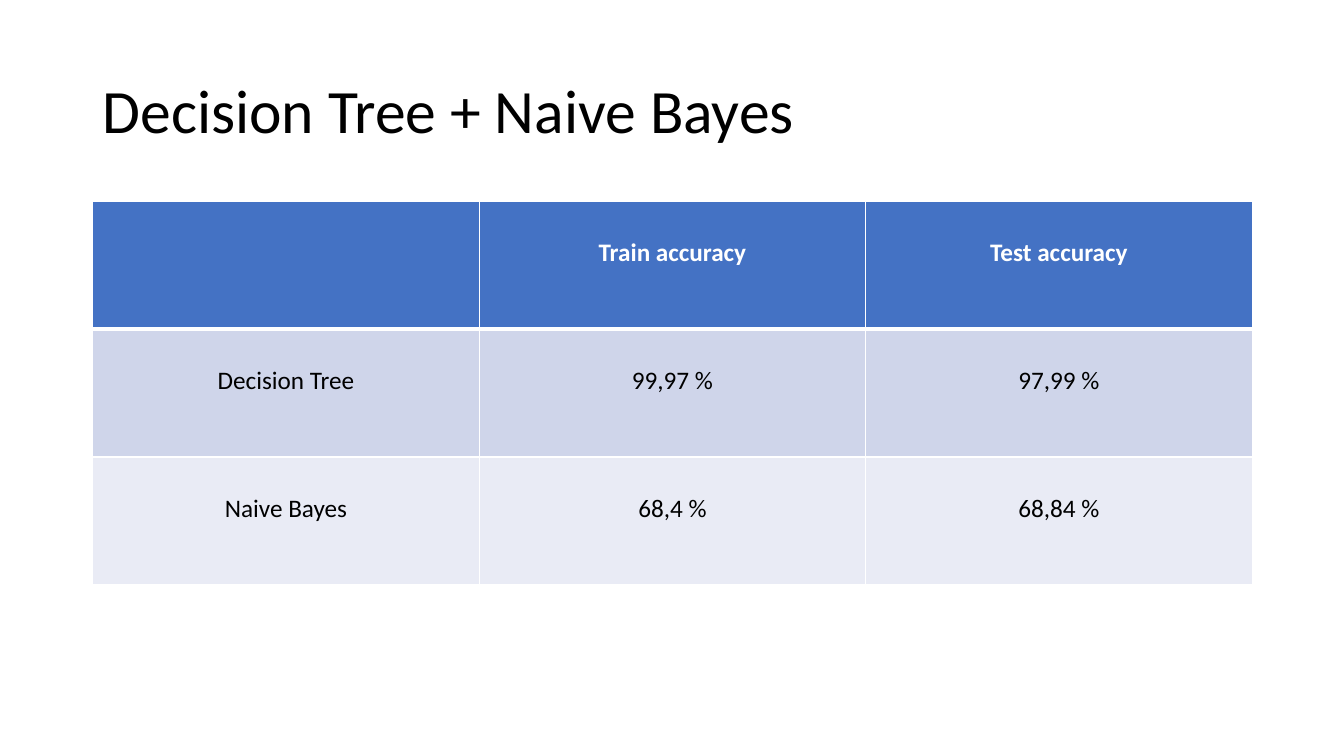
from lxml import etree
from pptx import Presentation
from pptx.dml.color import RGBColor
from pptx.enum.text import MSO_ANCHOR, PP_ALIGN
from pptx.oxml.ns import qn
from pptx.util import Inches, Pt

CENTER = PP_ALIGN.CENTER
MIDDLE = MSO_ANCHOR.MIDDLE
BLACK = RGBColor(0x00, 0x00, 0x00)
WHITE = RGBColor(0xFF, 0xFF, 0xFF)
HEADER_BLUE = RGBColor(0x44, 0x72, 0xC4)
BANDS = (RGBColor(0xCF, 0xD5, 0xEA), RGBColor(0xE9, 0xEB, 0xF5))

ACCURACIES = [
    ("", "Train accuracy", "Test accuracy"),
    ("Decision Tree", "99,97 %", "97,99 %"),
    ("Naive Bayes", "68,4 %", "68,84 %"),
]


class SlideBuilder:
    font_name = "Calibri"
    title_size = Pt(44)
    cell_size = Pt(18)
    cell_top_margin = Inches(0.36)
    thin, thick = Pt(1), Pt(3)

    def __init__(self, slide):
        self.slide = slide

    def style(self, paragraph, size, color, bold=False):
        font = paragraph.font
        font.name, font.size, font.bold = self.font_name, size, bold
        font.color.rgb = color

    def title(self, text, left, top, width, height):
        frame = self.slide.shapes.add_textbox(left, top, width, height).text_frame
        frame.word_wrap = True
        frame.vertical_anchor = MIDDLE
        paragraph = frame.paragraphs[0]
        paragraph.text = text
        paragraph.line_spacing = 0.9
        self.style(paragraph, self.title_size, BLACK)

    def borders(self, cell, top, bottom):
        """Give the cell white edges, with its own top and bottom widths."""
        properties = cell._tc.get_or_add_tcPr()
        widths = {"a:lnL": self.thin, "a:lnR": self.thin, "a:lnT": top, "a:lnB": bottom}
        for position, (tag, width) in enumerate(widths.items()):
            edge = etree.Element(qn(tag), w=str(width))
            fill = etree.SubElement(edge, qn("a:solidFill"))
            etree.SubElement(fill, qn("a:srgbClr"), val=str(WHITE))
            properties.insert(position, edge)

    def cell(self, cell, text, row):
        is_header = row == 0
        cell.fill.solid()
        cell.fill.fore_color.rgb = HEADER_BLUE if is_header else BANDS[(row - 1) % 2]
        self.borders(
            cell,
            top=self.thick if row == 1 else self.thin,
            bottom=self.thick if is_header else self.thin,
        )
        cell.margin_top = self.cell_top_margin
        paragraph = cell.text_frame.paragraphs[0]
        paragraph.text = text
        paragraph.alignment = CENTER
        self.style(paragraph, self.cell_size, WHITE if is_header else BLACK, is_header)

    def table(self, rows, left, top, width, height):
        table = self.slide.shapes.add_table(
            len(rows), len(rows[0]), left, top, width, height
        ).table
        for row, texts in enumerate(rows):
            for column, text in enumerate(texts):
                self.cell(table.cell(row, column), text, row)


def main():
    presentation = Presentation()
    presentation.slide_width = Inches(13.33)
    presentation.slide_height = Inches(7.5)
    builder = SlideBuilder(presentation.slides.add_slide(presentation.slide_layouts[6]))
    left, width = Inches(0.92), Inches(11.5)
    builder.title("Decision Tree + Naive Bayes", left, Inches(0.4), width, Inches(1.45))
    builder.table(ACCURACIES, left, Inches(2), width, Inches(3.8))
    presentation.save("out.pptx")


if __name__ == "__main__":
    main()
